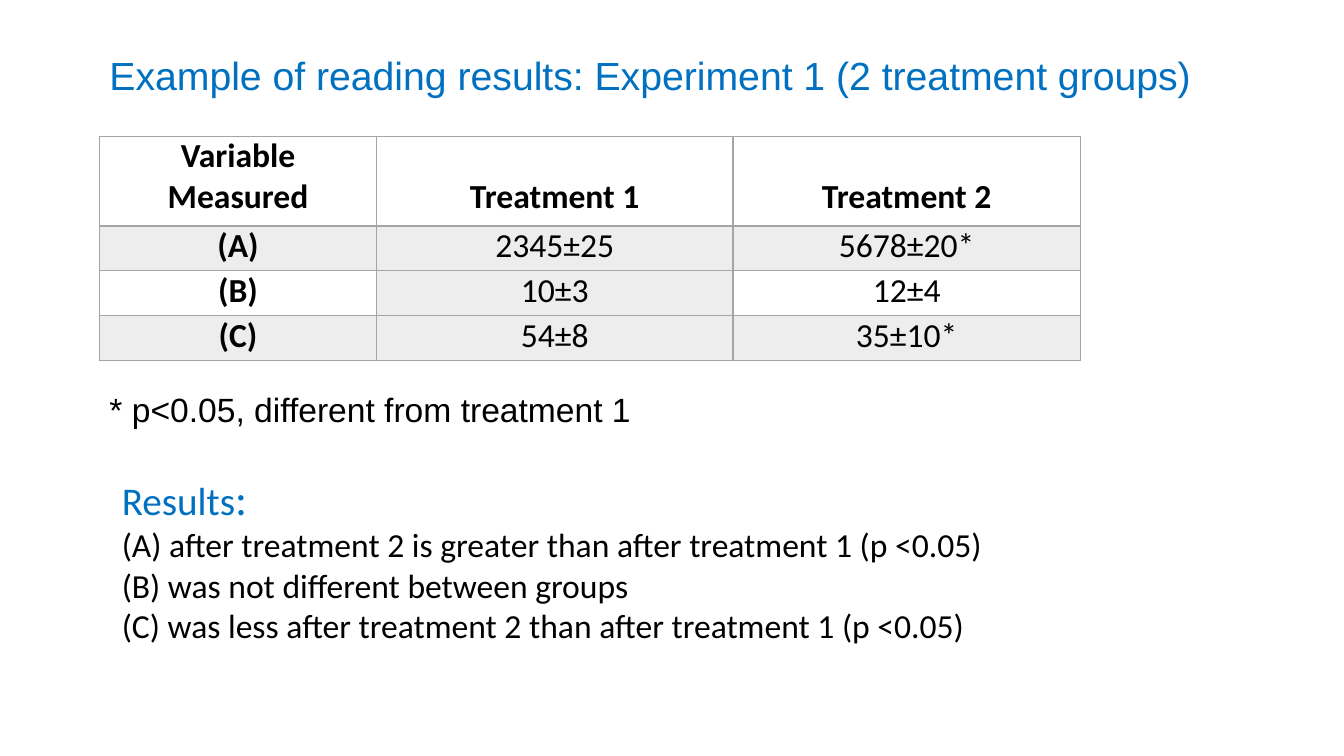
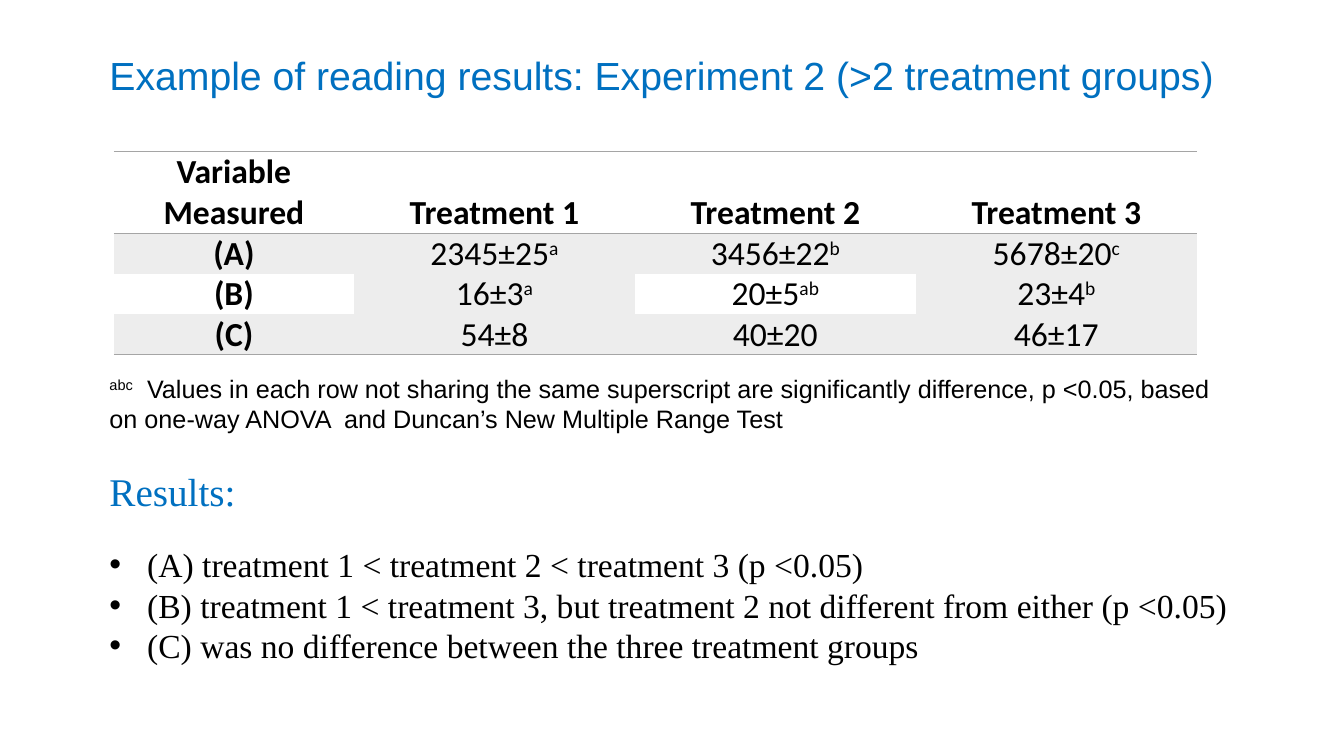
import lxml.etree
import pptx
import pptx.dml.color
import pptx.enum.text
import pptx.oxml.ns
import pptx.util

Cm = pptx.util.Cm
Pt = pptx.util.Pt

# Shared look
BLUE = "0070C0"
BLACK = "000000"
RULE_GREY = "A5A5A5"
BAND_GREY = "EDEDED"
LEFT = 2.51
HEADING_SIZE = 28
BODY_SIZE = 24
NOTE_SIZE = 18
TWO_LINES = 2.06
CELL_MARGIN = 0.18


def color(hex_value):
    return pptx.dml.color.RGBColor.from_string(hex_value)


def write_runs(paragraph, text, font_name, size, hex_value=BLACK, bold=False):
    """Append text; the parts between ^ marks become superscripts."""
    for index, part in enumerate(text.split("^")):
        if not part:
            continue
        run = paragraph.add_run()
        run.text = part
        run.font.name = font_name
        run.font.size = Pt(size)
        run.font.bold = bold
        run.font.color.rgb = color(hex_value)
        if index % 2:
            run.font._element.set("baseline", "30000")


def add_text_box(slide, left, top, width, height):
    box = slide.shapes.add_textbox(Cm(left), Cm(top), Cm(width), Cm(height))
    box.text_frame.word_wrap = True
    return box.text_frame


def add_title(slide, text):
    text_frame = add_text_box(slide, LEFT, 1.17, 29.46, 2.24)
    write_runs(text_frame.paragraphs[0], text, "Arial", HEADING_SIZE, BLUE)


def add_footnote(slide, text, top, width, size):
    text_frame = add_text_box(slide, LEFT, top, width, 1.3)
    write_runs(text_frame.paragraphs[0], text, "Arial", size)


def add_bullet(paragraph):
    properties = paragraph._p.get_or_add_pPr()
    properties.set("marL", str(Cm(0.95)))
    properties.set("indent", str(-Cm(0.95)))
    font = lxml.etree.SubElement(properties, pptx.oxml.ns.qn("a:buFont"))
    font.set("typeface", "Arial")
    bullet = lxml.etree.SubElement(properties, pptx.oxml.ns.qn("a:buChar"))
    bullet.set("char", "•")


def add_results(slide, place, font_name, findings, colon_size=HEADING_SIZE,
                heading_gap=0, bulleted=False):
    text_frame = add_text_box(slide, *place)
    heading = text_frame.paragraphs[0]
    write_runs(heading, "Results", font_name, HEADING_SIZE, BLUE)
    write_runs(heading, ":", font_name, colon_size, BLUE)
    heading.space_after = Pt(heading_gap)
    for finding in findings:
        paragraph = text_frame.add_paragraph()
        if bulleted:
            add_bullet(paragraph)
        write_runs(paragraph, finding, font_name, BODY_SIZE)


def set_borders(cell, widths):
    """Draw the sides L, R, T, B named in widths; hide the others."""
    properties = cell._tc.get_or_add_tcPr()
    for position, side in enumerate("LRTB"):
        line = lxml.etree.Element(pptx.oxml.ns.qn("a:ln" + side))
        if side in widths:
            line.set("w", str(Pt(widths[side])))
            fill = lxml.etree.SubElement(line, pptx.oxml.ns.qn("a:solidFill"))
            value = lxml.etree.SubElement(fill, pptx.oxml.ns.qn("a:srgbClr"))
            value.set("val", RULE_GREY)
        else:
            lxml.etree.SubElement(line, pptx.oxml.ns.qn("a:noFill"))
        properties.insert(position, line)


def border_widths(row, last_row, boxed):
    if boxed:
        return {"L": 1, "R": 1, "T": 2 if row == 1 else 1, "B": 2 if row == 0 else 1}
    widths = {}
    if row <= 1:
        widths["T"] = 1
    if row in (0, last_row):
        widths["B"] = 1
    return widths


def fill_cell(cell, text, row, column):
    cell.margin_left = cell.margin_right = Cm(CELL_MARGIN)
    cell.margin_top = cell.margin_bottom = 0
    # Odd rows and odd columns are shaded below the header
    if row and (row % 2 or column % 2):
        cell.fill.solid()
        cell.fill.fore_color.rgb = color(BAND_GREY)
    else:
        cell.fill.background()
    for index, line in enumerate(text.split("\n")):
        paragraph = cell.text_frame.add_paragraph() if index else cell.text_frame.paragraphs[0]
        paragraph.alignment = pptx.enum.text.PP_ALIGN.CENTER
        write_runs(paragraph, line, "Calibri", BODY_SIZE, bold=row == 0 or column == 0)


def add_results_table(slide, rows, left, top, column_widths, header_height, row_height, boxed):
    heights = [header_height] + [row_height] * (len(rows) - 1)
    table = slide.shapes.add_table(
        len(rows), len(column_widths), Cm(left), Cm(top),
        Cm(sum(column_widths)), Cm(sum(heights))).table
    table.first_row = table.horz_banding = False
    for column, width in enumerate(column_widths):
        table.columns[column].width = Cm(width)
    for row, texts in enumerate(rows):
        table.rows[row].height = Cm(heights[row])
        for column, text in enumerate(texts):
            cell = table.cell(row, column)
            fill_cell(cell, text, row, column)
            set_borders(cell, border_widths(row, len(rows) - 1, boxed))
            # Header labels share the second text line
            if row == 0:
                cell.vertical_anchor = pptx.enum.text.MSO_ANCHOR.BOTTOM
                cell.margin_bottom = Cm(header_height - TWO_LINES)


def add_slide(presentation, title):
    slide = presentation.slides.add_slide(presentation.slide_layouts[6])
    add_title(slide, title)
    return slide


def build_two_groups(presentation):
    slide = add_slide(presentation, "Example of reading results: Experiment 1 (2 treatment groups)")
    rows = [
        ["Variable\nMeasured", "Treatment 1", "Treatment 2"],
        ["(A)", "2345±25", "5678±20*"],
        ["(B)", "10±3", "12±4"],
        ["(C)", "54±8", "35±10*"],
    ]
    add_results_table(slide, rows, LEFT, 3.43, [6.98, 8.98, 8.76], 2.26, 1.13, boxed=True)
    add_footnote(slide, "* p<0.05, different from treatment 1", 9.68, 15, BODY_SIZE)
    findings = [
        "(A) after treatment 2 is greater than after treatment 1 (p <0.05)",
        "(B) was not different between groups",
        "(C) was less after treatment 2 than after treatment 1 (p <0.05)",
    ]
    add_results(slide, (2.82, 11.73, 26.92, 5.74), "Calibri", findings, colon_size=32)


def build_many_groups(presentation):
    slide = add_slide(presentation, "Example of reading results: Experiment 2 (>2 treatment groups)")
    rows = [
        ["Variable\nMeasured", "Treatment 1", "Treatment 2", "Treatment 3"],
        ["(A)", "2345±25^a", "3456±22^b", "5678±20^c"],
        ["(B)", "16±3^a", "20±5^ab", "23±4^b"],
        ["(C)", "54±8", "40±20", "46±17"],
    ]
    add_results_table(slide, rows, 2.87, 3.82, [6.05] + [7.08] * 3, TWO_LINES, 1.02, boxed=False)
    add_footnote(
        slide,
        "^abc^  Values in each row not sharing the same superscript are significantly "
        "difference, p <0.05, based on one-way ANOVA  and Duncan’s New Multiple Range Test",
        9.27, 28.5, NOTE_SIZE)
    findings = [
        "(A) treatment 1 < treatment 2 < treatment 3 (p <0.05)",
        "(B) treatment 1 < treatment 3, but treatment 2 not different from either (p <0.05)",
        "(C) was no difference between the three treatment groups",
    ]
    add_results(slide, (LEFT, 11.66, 29.46, 5.31), "Times New Roman", findings,
                heading_gap=21, bulleted=True)


def main():
    presentation = pptx.Presentation()
    presentation.slide_width = Cm(33.87)
    presentation.slide_height = Cm(19.05)
    build_two_groups(presentation)
    build_many_groups(presentation)
    presentation.save("out.pptx")


main()
